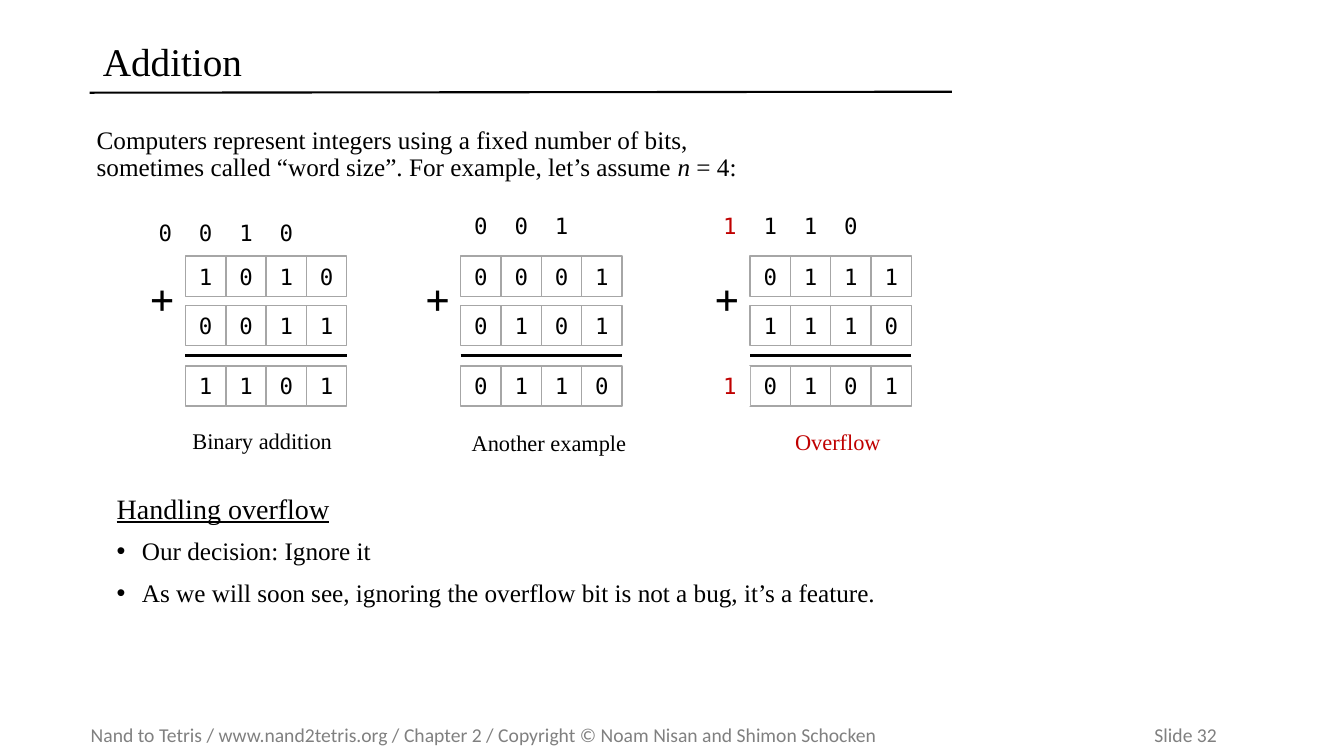
from dataclasses import dataclass

from lxml.etree import SubElement
from pptx import Presentation
from pptx.dml.color import RGBColor
from pptx.enum.shapes import MSO_CONNECTOR, MSO_SHAPE
from pptx.enum.text import MSO_ANCHOR, PP_ALIGN
from pptx.oxml.ns import qn
from pptx.util import Inches, Pt

TITLE = "Addition"
INTRO_LINES = [
    [("Computers represent integers using a fixed number of bits,", False)],
    [("sometimes called “word size”. For example, let’s assume ", False), ("n", True), (" = 4:", False)],
]
SUMS = [
    {"left": 1.84, "carry_top": 2.11, "carries": "0010", "rows": ["1010", "0011", "1101"],
     "caption": "Binary addition", "caption_at": (1.81, 4.22), "overflow": ""},
    {"left": 4.57, "carry_top": 2.04, "carries": " 001", "rows": ["0001", "0101", "0110"],
     "caption": "Another example", "caption_at": (4.58, 4.24), "overflow": ""},
    {"left": 7.44, "carry_top": 2.04, "carries": "1110", "rows": ["0111", "1110", "0101"],
     "caption": "Overflow", "caption_at": (7.4, 4.23), "overflow": "1"},
]
HEADING = "Handling overflow"
DECISIONS = [
    "Our decision: Ignore it",
    "As we will soon see, ignoring the overflow bit is not a bug, it’s a feature.",
]
FOOTER = "Nand to Tetris / www.nand2tetris.org / Chapter 2 / Copyright © Noam Nisan and Shimon Schocken"
SLIDE_LABEL = "Slide 32"

CELL = 0.4
ROW_TOPS = [2.54, 3.03, 3.63]
PLUS_TOP, SUM_LINE_TOP = 2.76, 3.53


@dataclass(frozen=True)
class Theme:
    serif: str = "Times New Roman"
    mono: str = "DejaVu Sans Mono"
    sans: str = "Calibri"
    ink: RGBColor = RGBColor(0, 0, 0)
    paper: RGBColor = RGBColor(255, 255, 255)
    alert: RGBColor = RGBColor(0xC0, 0, 0)
    border: RGBColor = RGBColor(0xA6, 0xA6, 0xA6)
    muted: RGBColor = RGBColor(0x80, 0x80, 0x80)
    large: int = 28
    heading: int = 20
    body: int = 18
    small: int = 16
    footer: int = 14


THEME = Theme()


def style(paragraph, size, name=THEME.serif, color=THEME.ink, alignment=PP_ALIGN.LEFT, spacing=0.9):
    paragraph.alignment = alignment
    paragraph.line_spacing = spacing
    paragraph.font.size = Pt(size)
    paragraph.font.name = name
    paragraph.font.color.rgb = color


def add_text_frame(slide, left, top, width, height):
    box = slide.shapes.add_textbox(Inches(left), Inches(top), Inches(width), Inches(height))
    box.text_frame.word_wrap = True
    return box.text_frame


def add_digit(slide, text, left, top, size=THEME.small, color=THEME.ink, bordered=False):
    shape = slide.shapes.add_shape(
        MSO_SHAPE.RECTANGLE, Inches(left), Inches(top), Inches(CELL), Inches(CELL))
    shape.shadow.inherit = False
    shape.fill.solid()
    shape.fill.fore_color.rgb = THEME.paper
    if bordered:
        shape.line.color.rgb = THEME.border
        shape.line.width = Pt(1)
    else:
        shape.line.fill.background()
    frame = shape.text_frame
    frame.margin_left = frame.margin_right = 0
    frame.vertical_anchor = MSO_ANCHOR.MIDDLE
    paragraph = frame.paragraphs[0]
    paragraph.text = text
    style(paragraph, size, THEME.mono, color, PP_ALIGN.CENTER, 1.0)


def add_line(slide, start, end, width):
    connector = slide.shapes.add_connector(
        MSO_CONNECTOR.STRAIGHT, *(Inches(value) for value in (*start, *end)))
    connector.line.color.rgb = THEME.ink
    connector.line.width = Pt(width)
    SubElement(connector._element.spPr, qn("a:effectLst"))


def add_title(slide):
    title = slide.shapes.title
    title.left, title.top, title.width, title.height = (
        Inches(value) for value in (0.92, 0.32, 8.53, 0.63))
    title.text_frame.text = TITLE
    title.text_frame.vertical_anchor = MSO_ANCHOR.MIDDLE
    style(title.text_frame.paragraphs[0], THEME.large)
    add_line(slide, (0.89, 0.92), (9.44, 0.91), 1.5)


def add_intro(slide):
    paragraph = add_text_frame(slide, 0.86, 1.22, 7.95, 0.94).paragraphs[0]
    style(paragraph, THEME.body)
    for index, line in enumerate(INTRO_LINES):
        if index:
            paragraph.add_line_break()
        for text, italic in line:
            run = paragraph.add_run()
            run.text = text
            if italic:
                run.font.italic = True


def add_sum(slide, left, carry_top, carries, rows, caption, caption_at, overflow):
    accent = THEME.alert if overflow else THEME.ink
    for column, carry in enumerate(carries, start=-1):
        if carry.strip():
            color = accent if column < 0 else THEME.ink
            add_digit(slide, carry, left + column * CELL, carry_top, color=color)
    for top, bits in zip(ROW_TOPS, rows):
        for column, bit in enumerate(bits):
            add_digit(slide, bit, left + column * CELL, top, bordered=True)
    add_digit(slide, "+", left - 0.43, PLUS_TOP, size=THEME.large)
    if overflow:
        add_digit(slide, overflow, left - CELL, ROW_TOPS[-1], color=accent)
    add_line(slide, (left, SUM_LINE_TOP), (left + 4 * CELL, SUM_LINE_TOP), 2)
    paragraph = add_text_frame(slide, *caption_at, 1.82, 0.44).paragraphs[0]
    paragraph.text = caption
    style(paragraph, THEME.small, color=accent,
          alignment=PP_ALIGN.CENTER if overflow else PP_ALIGN.LEFT)


def add_decisions(slide):
    frame = add_text_frame(slide, 1.06, 4.86, 8.53, 1.56)
    heading = frame.paragraphs[0]
    heading.text = HEADING
    style(heading, THEME.heading)
    heading.font.underline = True
    for decision in DECISIONS:
        paragraph = frame.add_paragraph()
        paragraph.text = decision
        properties = paragraph._p.get_or_add_pPr()
        properties.set("marL", str(Inches(0.25)))
        properties.set("indent", str(-Inches(0.25)))
        SubElement(properties, qn("a:buFont"), typeface="Arial")
        SubElement(properties, qn("a:buChar"), char="•")
        style(paragraph, THEME.body)
        paragraph.space_before = Pt(10)


def add_footer(slide):
    frame = add_text_frame(slide, 0.9, 7.12, 12.25, 0.34)
    frame.margin_left = frame.margin_right = 0
    frame.vertical_anchor = MSO_ANCHOR.MIDDLE
    paragraph = frame.paragraphs[0]
    paragraph.text = f"{FOOTER}\t{SLIDE_LABEL}"
    tabs = SubElement(paragraph._p.get_or_add_pPr(), qn("a:tabLst"))
    SubElement(tabs, qn("a:tab"), pos=str(Inches(10.55)), algn="l")
    style(paragraph, THEME.footer, THEME.sans, THEME.muted, spacing=1.0)


def main():
    presentation = Presentation()
    presentation.slide_width = Inches(13.33)
    presentation.slide_height = Inches(7.5)
    slide = presentation.slides.add_slide(presentation.slide_layouts[5])
    add_title(slide)
    add_intro(slide)
    for binary_sum in SUMS:
        add_sum(slide, **binary_sum)
    add_decisions(slide)
    add_footer(slide)
    presentation.save("out.pptx")


if __name__ == "__main__":
    main()
